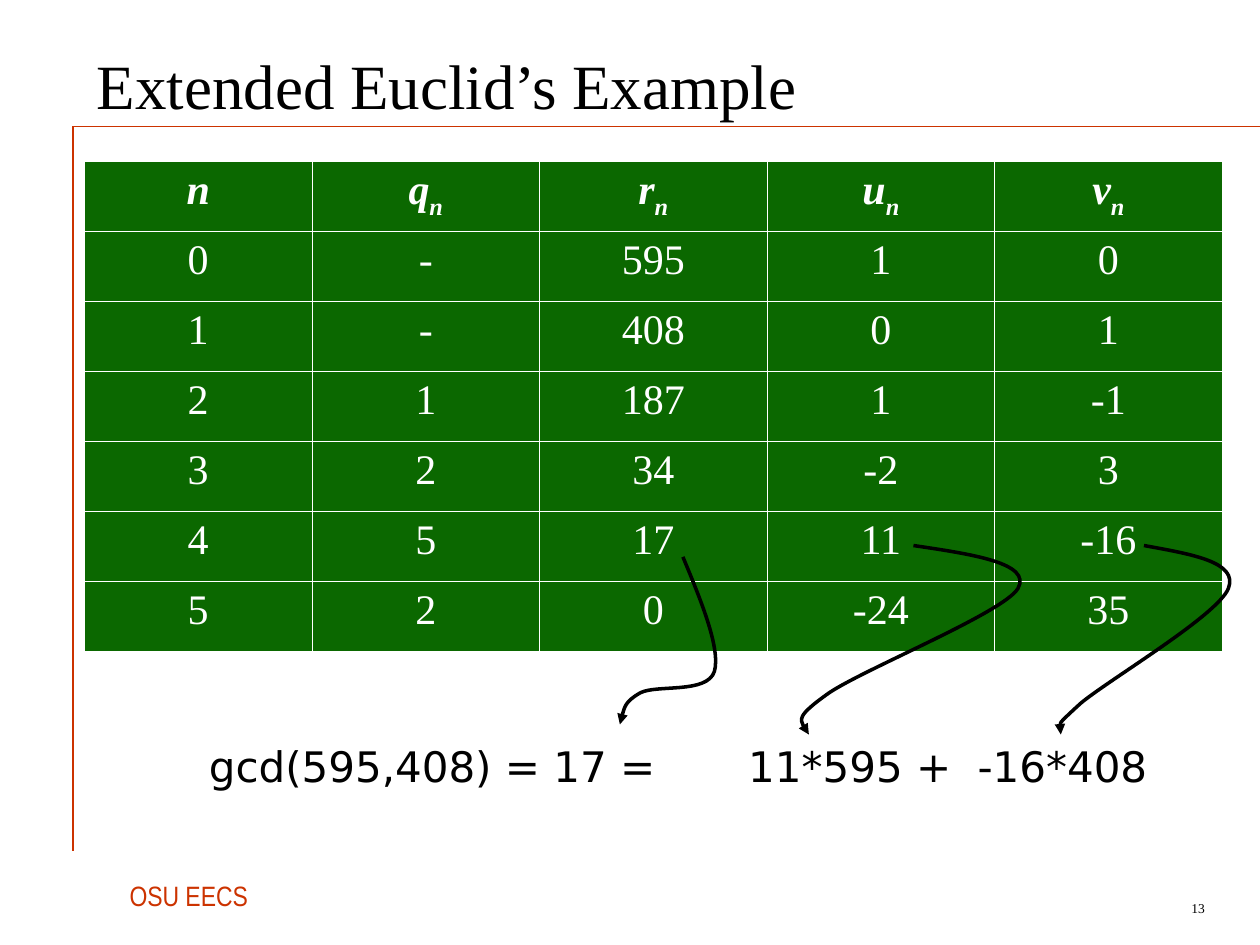
import pptx
import pptx.dml.color
import pptx.enum.shapes
import pptx.enum.text
import pptx.oxml
import pptx.oxml.ns
import pptx.util
import lxml.etree

Inches = pptx.util.Inches
Pt = pptx.util.Pt
RGBColor = pptx.dml.color.RGBColor
Align = pptx.enum.text.PP_ALIGN
Anchor = pptx.enum.text.MSO_ANCHOR
qn = pptx.oxml.ns.qn

BLACK = RGBColor(0x00, 0x00, 0x00)
WHITE = RGBColor(0xFF, 0xFF, 0xFF)
RUST = RGBColor(0xCC, 0x33, 0x00)
GREEN = RGBColor(0x0B, 0x68, 0x00)
SERIF = "Times New Roman"

HEADERS = ["n", "qn", "rn", "un", "vn"]  # second letter is a subscript
STEPS = [
    ["0", "-", "595", "1", "0"],
    ["1", "-", "408", "0", "1"],
    ["2", "1", "187", "1", "-1"],
    ["3", "2", "34", "-2", "3"],
    ["4", "5", "17", "11", "-16"],
    ["5", "2", "0", "-24", "35"],
]

# Each arrow: its left and top, then a start point and three points per curve
ARROWS = [
    (4.92, 4.42, [(0.5, 0), (0.65, 0.36), (0.8, 0.73), (0.75, 0.91),
                  (0.69, 1.09), (0.29, 1.01), (0.16, 1.08),
                  (0.04, 1.15), (0.02, 1.24), (0, 1.33)]),
    (6.31, 4.33, [(0.94, 0), (1.41, 0.07), (1.88, 0.14), (1.77, 0.34),
                  (1.66, 0.53), (0.55, 0.98), (0.27, 1.17),
                  (0, 1.36), (0.05, 1.43), (0.11, 1.5)]),
    (8.36, 4.33, [(0.72, 0), (1.1, 0.07), (1.47, 0.13), (1.39, 0.34),
                  (1.31, 0.55), (0.45, 1.06), (0.22, 1.25),
                  (0, 1.45), (0.03, 1.48), (0.06, 1.5)]),
]


def set_attributes(target, values):
    for name, value in values.items():
        setattr(target, name, value)


def add_run(paragraph, text, color, **font_values):
    run = paragraph.add_run()
    run.text = text
    set_attributes(run.font, font_values)
    run.font.color.rgb = color
    return run


def add_text(slide, box, text, color, font, frame=None, paragraph=None):
    shape = slide.shapes.add_textbox(*map(Inches, box))
    set_attributes(shape.text_frame, {"word_wrap": True, **(frame or {})})
    first = shape.text_frame.paragraphs[0]
    set_attributes(first, paragraph or {})
    add_run(first, text, color, **font)
    return first


def add_rules(slide, left, top, right, bottom):
    for end_x, end_y, width in ((right, top, 0.25), (left, bottom, 0.75)):
        line = slide.shapes.add_connector(
            pptx.enum.shapes.MSO_CONNECTOR.STRAIGHT,
            Inches(left), Inches(top), Inches(end_x), Inches(end_y))
        line.line.color.rgb = RUST
        line.line.width = Pt(width)
        lxml.etree.SubElement(line._element.spPr, qn("a:effectLst"))


def add_borders(cell, color, width):
    properties = cell._tc.get_or_add_tcPr()
    for side in ("a:lnL", "a:lnR", "a:lnT", "a:lnB"):
        border = lxml.etree.SubElement(properties, qn(side), w=str(Pt(width)))
        fill = lxml.etree.SubElement(border, qn("a:solidFill"))
        lxml.etree.SubElement(fill, qn("a:srgbClr"), val=str(color))


def add_steps_table(slide, left, top, width, height):
    rows = [HEADERS] + STEPS
    table = slide.shapes.add_table(
        len(rows), len(HEADERS),
        *map(Inches, (left, top, width, height))).table
    for column in table.columns:
        column.width = Inches(width / len(HEADERS))
    for row_index, values in enumerate(rows):
        is_header = row_index == 0
        font = {"name": SERIF, "size": Pt(24),
                "bold": is_header, "italic": is_header}
        for column_index, value in enumerate(values):
            cell = table.cell(row_index, column_index)
            add_borders(cell, WHITE, 0.45)
            cell.fill.solid()
            cell.fill.fore_color.rgb = GREEN
            paragraph = cell.text_frame.paragraphs[0]
            paragraph.alignment = Align.CENTER
            base, subscript = (value[0], value[1:]) if is_header else (value, "")
            add_run(paragraph, base, WHITE, **font)
            if subscript:
                run = add_run(paragraph, subscript, WHITE, **font)
                run._r.get_or_add_rPr().set("baseline", "-25000")


def add_equation(slide, box):
    paragraph = add_text(
        slide, box, "gcd(595,408) = 17 =\t11*595 +\t-16*408", BLACK,
        {"name": "DejaVu Sans", "size": Pt(24)},
        paragraph={"space_before": Pt(15)})
    # Tab stops line the two products up under their arrows
    tabs = lxml.etree.SubElement(
        paragraph._p.get_or_add_pPr(), qn("a:tabLst"))
    for position in (4.28, 6.1):
        lxml.etree.SubElement(
            tabs, qn("a:tab"), pos=str(Inches(position)), algn="l")


def add_curved_arrow(slide, left, top, points):
    corners = [(Inches(left + x), Inches(top + y)) for x, y in points]
    builder = slide.shapes.build_freeform(*corners[0])
    builder.add_line_segments(corners[1:], close=False)
    shape = builder.convert_to_shape()
    shape.shadow.inherit = False
    shape.fill.background()
    shape.line.color.rgb = BLACK
    shape.line.width = Pt(2)
    # Every three points make one Bezier curve
    outline = shape._element.find(".//" + qn("a:path"))
    segments = outline.findall(qn("a:lnTo"))
    for start in range(0, len(segments), 3):
        curve = lxml.etree.SubElement(outline, qn("a:cubicBezTo"))
        for segment in segments[start:start + 3]:
            curve.append(segment[0])
            outline.remove(segment)
    lxml.etree.SubElement(
        shape.line._get_or_add_ln(), qn("a:tailEnd"), type="triangle")


def main():
    presentation = pptx.Presentation()
    presentation.slide_width = Inches(10)
    presentation.slide_height = Inches(7.5)
    slide = presentation.slides.add_slide(presentation.slide_layouts[6])

    # Frame lines, footer and page number
    add_rules(slide, 0.58, 1, 10, 6.75)
    add_text(slide, (0.93, 6.92, 1.19, 0.37), "OSU EECS", RUST,
             {"name": "Arial Narrow", "size": Pt(16)},
             {"word_wrap": False}, {"space_before": Pt(4)})
    add_text(slide, (8.83, 7.08, 0.83, 0.25), "13", BLACK,
             {"name": SERIF, "size": Pt(7.7)},
             {"vertical_anchor": Anchor.MIDDLE}, {"alignment": Align.RIGHT})

    # Title
    add_text(slide, (0.67, 0.17, 9.01, 1), "Extended Euclid’s Example", BLACK,
             {"name": SERIF, "size": Pt(36)},
             {"vertical_anchor": Anchor.MIDDLE})

    # Table, result and the arrows between them
    add_steps_table(slide, 0.67, 1.28, 9.03, 3.89)
    add_equation(slide, (1.56, 5.83, 8.19, 0.5))
    for left, top, points in ARROWS:
        add_curved_arrow(slide, left, top, points)

    presentation.save("out.pptx")


if __name__ == "__main__":
    main()
